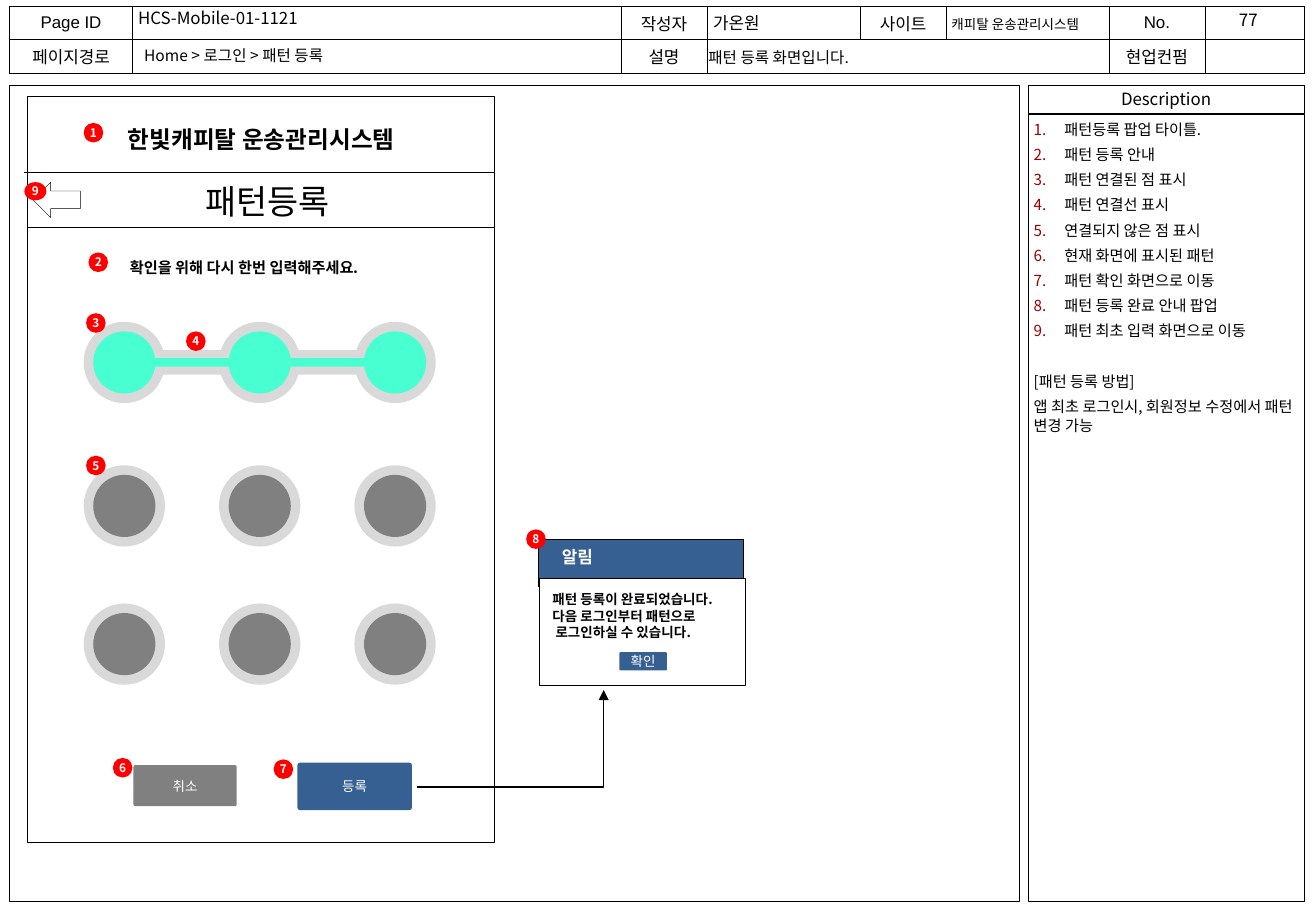
import pptx
import pptx.util
import pptx.dml.color
import pptx.enum.shapes
import pptx.enum.text
import pptx.oxml.ns
from lxml import etree

Cm, Pt = pptx.util.Cm, pptx.util.Pt
SHAPE = pptx.enum.shapes.MSO_SHAPE
CONNECTOR = pptx.enum.shapes.MSO_CONNECTOR
CENTER = pptx.enum.text.PP_ALIGN.CENTER
LEFT = pptx.enum.text.PP_ALIGN.LEFT
TOP = pptx.enum.text.MSO_ANCHOR.TOP
MIDDLE = pptx.enum.text.MSO_ANCHOR.MIDDLE
FONT = "Noto Sans CJK KR"
BLACK, WHITE, RED = "000000", "FFFFFF", "FF0000"
NAVY, GRAY, SILVER, MINT = "376092", "808080", "D9D9D9", "47FFD1"
WIDE, NARROW, NONE = (0.25, 0.13), (0.1, 0.13), (0, 0)


def color(value):
    return pptx.dml.color.RGBColor.from_string(value)


def sub(parent, tag, **attrs):
    return etree.SubElement(parent, pptx.oxml.ns.qn(tag), **attrs)


def add_run(p, text, size, fill=BLACK, bold=False, font=FONT):
    r = p.add_run()
    r.text = text
    r.font.size = Pt(size)
    r.font.bold = bold
    r.font.color.rgb = color(fill)
    r.font.name = font
    sub(r._r.get_or_add_rPr(), "a:ea", typeface=FONT)


def fill_text(sp, lines, size, fill=BLACK, bold=False, align=CENTER,
              anchor=MIDDLE, inset=WIDE, wrap=True, font=FONT):
    tf = sp.text_frame
    tf.word_wrap = wrap
    tf.vertical_anchor = anchor
    tf.margin_left = tf.margin_right = Cm(inset[0])
    tf.margin_top = tf.margin_bottom = Cm(inset[1])
    for i, line in enumerate(lines):
        p = tf.add_paragraph() if i else tf.paragraphs[0]
        p.alignment = align
        add_run(p, line, size, fill, bold, font)
    return tf


def add_text(s, x, y, w, h, lines, size, **style):
    sp = s.shapes.add_textbox(Cm(x), Cm(y), Cm(w), Cm(h))
    return fill_text(sp, lines, size, **style)


def add_box(s, kind, x, y, w, h, fill=WHITE, line=None):
    sp = s.shapes.add_shape(kind, Cm(x), Cm(y), Cm(w), Cm(h))
    sp.shadow.inherit = False
    if fill:
        sp.fill.solid()
        sp.fill.fore_color.rgb = color(fill)
    else:
        sp.fill.background()
    if line:
        sp.line.color.rgb = color(line)
        sp.line.width = Pt(0.25)
    else:
        sp.line.fill.background()
    return sp


def add_badge(s, x, y, number, w=0.41, h=0.41):
    sp = add_box(s, SHAPE.OVAL, x, y, w, h, RED)
    fill_text(sp, [str(number)], 7, WHITE, True, inset=NONE)


def add_button(s, x, y, w, h, label, fill):
    sp = add_box(s, SHAPE.ROUNDED_RECTANGLE, x, y, w, h, fill)
    sp.adjustments[0] = 0.05
    fill_text(sp, [label], 8, WHITE, inset=NARROW)


def add_line(s, kind, x1, y1, x2, y2, width):
    c = s.shapes.add_connector(kind, Cm(x1), Cm(y1), Cm(x2), Cm(y2))
    c.line.color.rgb = color(BLACK)
    c.line.width = Pt(width)
    sub(c._element.spPr, "a:effectLst")
    return c


def style_cell(cell):
    cell.margin_top = cell.margin_bottom = Cm(0.05)
    cell.vertical_anchor = MIDDLE
    tcPr = cell._tc.get_or_add_tcPr()
    for side in ("a:lnL", "a:lnR", "a:lnT", "a:lnB"):
        ln = sub(tcPr, side, w=str(Pt(0.25)))
        sub(sub(ln, "a:solidFill"), "a:srgbClr", val=BLACK)
    cell.fill.background()


def page_header(s, x, y, w, h):
    widths = (2.57, 10.21, 1.8, 3.2, 1.8, 3.4, 2.01, 2.08)
    labels = (("Page ID", "", "작성자", "", "사이트", "", "No.", ""),
              ("페이지경로", "", "설명", "", "", "", "현업컨펌", ""))
    table = s.shapes.add_table(2, 8, Cm(x), Cm(y), Cm(w), Cm(h)).table
    table.first_row = table.horz_banding = False
    for column, width in zip(table.columns, widths):
        column.width = Cm(width)
    for row, texts in enumerate(labels):
        table.rows[row].height = Cm(h / 2)
        for col, text in enumerate(texts):
            cell = table.cell(row, col)
            style_cell(cell)
            p = cell.text_frame.paragraphs[0]
            p.alignment = CENTER
            if text:
                add_run(p, text, 10, font="Arial")
            else:
                sub(p._p, "a:endParaRPr", sz="1000")
    table.cell(1, 3).merge(table.cell(1, 5))
    # Values over the empty cells
    for dx, dy, width, text, size, inset in (
            (2.44, -0.05, 10.1, "HCS-Mobile-01-1121", 10, WIDE),
            (2.64, 0.73, 10.1, " Home > 로그인 > 패턴 등록", 9.2, NARROW),
            (14.61, 0.05, 2.97, "가온원", 10, NARROW),
            (14.51, 0.76, 8.38, "패턴 등록 화면입니다.", 9.2, NARROW),
            (19.59, 0.07, 3.4, "캐피탈 운송관리시스템", 8, NARROW),
            (25.45, -0.01, 0.97, "77", 10, WIDE)):
        add_text(s, x + dx, y + dy, width, 0.6, [text], size,
                 align=LEFT, inset=inset, wrap=False)


def description_panel(s, x, y, w, h):
    add_box(s, SHAPE.RECTANGLE, x, y + 0.61, w, h - 0.61, line=BLACK)
    sp = add_box(s, SHAPE.RECTANGLE, x, y, w, 0.58, line=BLACK)
    fill_text(sp, ["Description"], 10)
    items = ["패턴등록 팝업 타이틀.", "패턴 등록 안내", "패턴 연결된 점 표시",
             "패턴 연결선 표시", "연결되지 않은 점 표시", "현재 화면에 표시된 패턴",
             "패턴 확인 화면으로 이동", "패턴 등록 완료 안내 팝업",
             "패턴 최초 입력 화면으로 이동"]
    notes = ["[패턴 등록 방법]", "앱 최초 로그인시, 회원정보 수정에서 패턴 변경 가능"]
    tf = add_text(s, x + 0.02, y + 0.61, w - 0.02, h - 0.61, items + notes, 9,
                  align=LEFT, anchor=TOP, inset=NARROW)
    for p in tf.paragraphs:
        p.space_before = Pt(4.05)
    for p in tf.paragraphs[:len(items)]:
        pPr = p._p.get_or_add_pPr()
        pPr.set("marL", str(Cm(0.64)))
        pPr.set("indent", str(-Cm(0.64)))
        sub(sub(pPr, "a:buClr"), "a:srgbClr", val="990000")
        sub(pPr, "a:buAutoNum", type="arabicPeriod")
    tf.paragraphs[len(items)].space_before = Pt(19.5)


def pattern_row(s, x, y, dot, linked):
    pitch, size, inset = 2.83, 1.7, 0.2
    for i in range(3):
        add_box(s, SHAPE.OVAL, x + i * pitch, y, size, size, SILVER)
    if linked:
        for i in range(2):
            for height, fill in ((0.51, SILVER), (0.18, MINT)):
                add_box(s, SHAPE.RECTANGLE, x + 1.3 + i * pitch,
                        y + (size - height) / 2, 2.06, height, fill)
    for i in range(3):
        add_box(s, SHAPE.OVAL, x + i * pitch + inset, y + inset,
                size - 2 * inset, size - 2 * inset, dot)


def phone_screen(s, x, y, w, h):
    add_box(s, SHAPE.RECTANGLE, x, y, w, h, line=BLACK)
    tf = add_text(s, x + 1.17, y + 0.17, 7.47, 1.14, ["한빛캐피탈 운송관리시스템"],
                  14, bold=True, anchor=TOP)
    tf.paragraphs[0].line_spacing = 1.5
    # Title bar
    add_line(s, CONNECTOR.STRAIGHT, x - 0.05, y + 1.6, x + w - 0.03, y + 1.6, 0.25)
    add_box(s, SHAPE.RECTANGLE, x, y + 1.6, w, 1.14, None, BLACK)
    add_box(s, SHAPE.LEFT_ARROW, x + 0.13, y + 1.8, 0.99, 0.74, line=BLACK)
    sp = add_box(s, SHAPE.RECTANGLE, x + 3, y + 1.65, 4.06, 1.07)
    fill_text(sp, ["패턴등록"], 20)
    # Guide and pattern grid
    add_text(s, x + 1.62, y + 3.27, 5.84, 0.64, ["확인을 위해 다시 한번 입력해주세요."],
             9, bold=True, anchor=TOP, wrap=False)
    for dy, dot, linked in ((4.72, MINT, True), (7.72, GRAY, False),
                            (10.61, GRAY, False)):
        pattern_row(s, x + 1.19, y + dy, dot, linked)
    # Buttons
    add_button(s, x + 2.23, y + 13.99, 2.16, 0.86, "취소", GRAY)
    add_button(s, x + 5.66, y + 13.94, 2.39, 0.99, "등록", NAVY)
    # Badges
    for number, dx, dy in ((1, 1.19, 0.56), (2, 1.29, 3.27), (3, 1.24, 4.54),
                           (4, 3.33, 4.92), (5, 1.24, 7.52),
                           (6, 1.8, 13.84), (7, 5.16, 13.87)):
        add_badge(s, x + dx, y + dy, number)
    add_badge(s, x - 0.05, y + 1.8, 9, 0.46, 0.38)


def alert_popup(s, x, y, w, h):
    add_box(s, SHAPE.RECTANGLE, x, y, w, 0.97, NAVY, BLACK)
    add_box(s, SHAPE.RECTANGLE, x + 0.03, y + 0.81, w, h - 0.81, line=BLACK)
    add_text(s, x + 0.21, y + 0.02, 1.22, 0.69, ["알림"], 10, fill=WHITE,
             bold=True, anchor=TOP, wrap=False)
    add_text(s, x + 0.05, y + 0.96, 4.22, 1.27,
             ["패턴 등록이 완료되었습니다.", "다음 로그인부터 패턴으로",
              " 로그인하실 수 있습니다."], 8, bold=True, align=LEFT, anchor=TOP)
    add_button(s, x + 1.7, y + 2.36, 0.99, 0.38, "확인", NAVY)
    add_badge(s, x - 0.25, y - 0.21, 8)


def popup_arrow(s, x, y, w, h):
    c = add_line(s, CONNECTOR.ELBOW, x, y + h, x + w, y, 0.75)
    c._element.spPr.find(pptx.oxml.ns.qn("a:prstGeom")).set("prst", "bentConnector2")
    sub(c.line._get_or_add_ln(), "a:tailEnd", type="triangle")


def main():
    prs = pptx.Presentation()
    prs.slide_width, prs.slide_height = Cm(27.51), Cm(19.05)
    s = prs.slides.add_slide(prs.slide_layouts[6])
    page_header(s, 0.2, 0.13, 27.07, 1.4)
    description_panel(s, 21.49, 1.78, 5.77, 17.07)
    add_box(s, SHAPE.RECTANGLE, 0.2, 1.78, 21.11, 17.07, line=BLACK)
    phone_screen(s, 0.56, 2.01, 9.78, 15.6)
    alert_popup(s, 11.25, 11.28, 4.29, 3.05)
    popup_arrow(s, 8.71, 14.43, 3.91, 2.03)
    prs.save("out.pptx")


if __name__ == "__main__":
    main()
